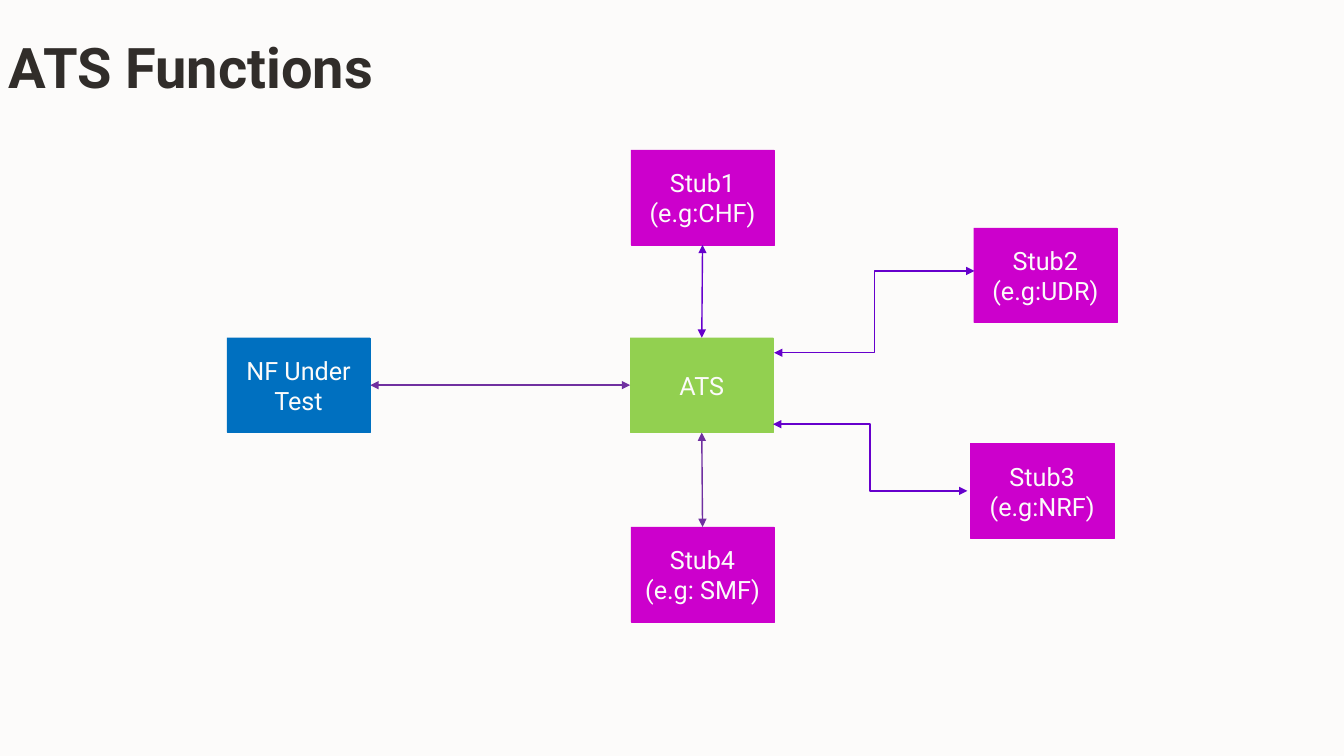
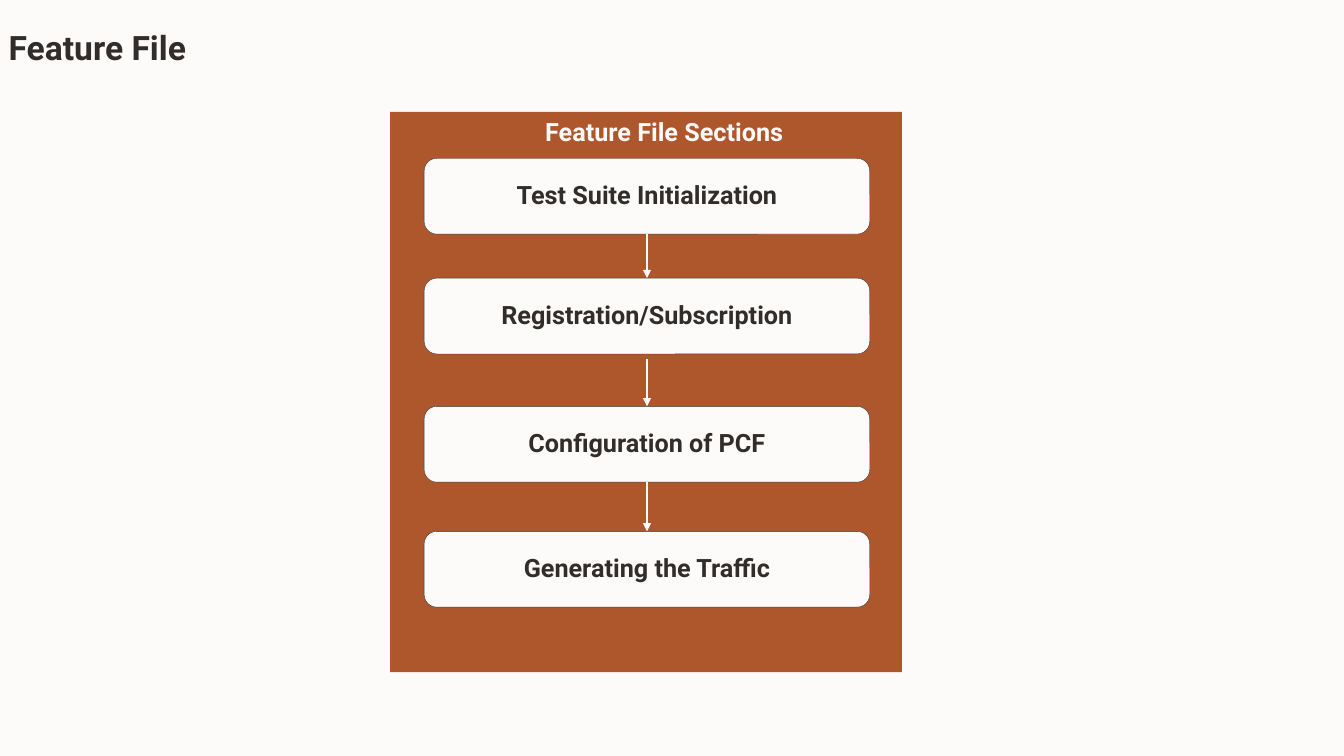
"""Build two slides: the ATS functions diagram and the feature file flow."""
from lxml import etree
from pptx import Presentation
from pptx.dml.color import RGBColor
from pptx.enum import shapes, text
from pptx.oxml import ns
from pptx.util import Cm, Pt

FONT = "Roboto"
HEX = {"paper": "FCFBFA", "ink": "312D2A", "blue": "0070C0", "green": "92D050",
       "pink": "CC00CC", "violet": "6600CC", "purple": "7030A0", "rust": "AE562C"}
KIND, LINK = shapes.MSO_SHAPE, shapes.MSO_CONNECTOR
MID, TOP = text.MSO_ANCHOR.MIDDLE, text.MSO_ANCHOR.TOP
LEFT, CENTER = text.PP_ALIGN.LEFT, text.PP_ALIGN.CENTER
BOTH, TAIL = ("headEnd", "tailEnd"), ("tailEnd",)

NODE = (3.61, 2.39)
NODES = {
    "nf": ("NF Under Test", "blue", 5.72, 8.51),
    "ats": ("ATS", "green", 15.88, 8.51),
    "chf": ("Stub1 (e.g:CHF)", "pink", 15.9, 3.78),
    "smf": ("Stub4\v(e.g: SMF)", "pink", 15.9, 13.28),
    "udr": ("Stub2 (e.g:UDR)", "pink", 24.54, 5.74),
    "nrf": ("Stub3 (e.g:NRF)", "pink", 24.46, 11.18),
}
LINKS = [("chf", 2, "ats", 0, "violet", 1),
         ("ats", 2, "smf", 0, "purple", 1),
         ("nf", 3, "ats", 1, "purple", 1.5)]
BENDS = [(19.48, 10.69, 24.38, 12.37), (19.51, 8.89, 24.56, 6.83)]

PANEL = (9.83, 2.82, 12.9, 14.12)
HEAD = ("Feature File Sections", (13.74, 3.02, 6.6, 0.66))
STEP = (10.69, 11.23, 1.91)
STEPS = [("Test Suite Initialization", 3.99), ("Registration/Subscription", 7.01),
         ("Configuration of PCF", 10.24), ("Generating the Traffic", 13.39)]
GAPS = [0, 0.13, 0]


def tint(name):
    return RGBColor.from_string(HEX[name])


def write(shape, words, size, color, bold=False, align=CENTER, anchor=MID,
          space=None, pad=None):
    frame = shape.text_frame
    frame.word_wrap = True
    frame.vertical_anchor = anchor
    if pad is not None:
        frame.margin_left = frame.margin_right = Cm(pad)
        frame.margin_top = frame.margin_bottom = Cm(pad / 2)
    frame.text = words
    para = frame.paragraphs[0]
    para.alignment = align
    if space:
        para.line_spacing = space
    for run in para.runs:
        font = run.font
        font.name, font.size, font.bold = FONT, Pt(size), bold
        font.color.rgb = tint(color)


def block(slide, kind, area, fill, edge=None):
    shape = slide.shapes.add_shape(kind, *map(Cm, area))
    shape.shadow.inherit = False
    shape.fill.solid()
    shape.fill.fore_color.rgb = tint(fill)
    if edge:
        shape.line.color.rgb = tint(edge)
        shape.line.width = Pt(0.25)
    else:
        shape.line.fill.background()
    return shape


def arrow(slide, kind, ends, color, width, tips):
    line = slide.shapes.add_connector(kind, *map(Cm, ends))
    line.line.color.rgb = tint(color)
    line.line.width = Pt(width)
    edge = line.line._get_or_add_ln()
    for tip in tips:
        etree.SubElement(edge, ns.qn("a:" + tip), type="triangle")
    etree.SubElement(line._element.spPr, ns.qn("a:effectLst"))
    return line


def label(slide, words, area, *style, **more):
    box = slide.shapes.add_textbox(*map(Cm, area))
    write(box, words, *style, bold=True, align=LEFT, anchor=TOP, **more)


def start(deck, title, area, size):
    slide = deck.slides.add_slide(deck.slide_layouts[6])
    slide.background.fill.solid()
    slide.background.fill.fore_color.rgb = tint("paper")
    label(slide, title, area, size, "ink", space=0.95, pad=0.22)
    return slide


def draw_ats(deck):
    slide = start(deck, "ATS Functions", (0, 0.84, 30.91, 1.73), 40)
    nodes = {}
    for key, (words, color, left, top) in NODES.items():
        nodes[key] = block(slide, KIND.RECTANGLE, (left, top, *NODE), color, color)
        write(nodes[key], words, 18, "paper")
    for first, out, last, into, color, width in LINKS:
        line = arrow(slide, LINK.STRAIGHT, (0, 0, 0, 0), color, width, BOTH)
        line.begin_connect(nodes[first], out)
        line.end_connect(nodes[last], into)
    for ends in BENDS:
        arrow(slide, LINK.ELBOW, ends, "violet", 1, BOTH)


def draw_flow(deck):
    slide = start(deck, "Feature File", (0, 0.64, 8.79, 1.7), 24)
    block(slide, KIND.RECTANGLE, PANEL, "rust")
    left, wide, high = STEP
    steps = []
    for words, top in STEPS:
        step = block(slide, KIND.ROUNDED_RECTANGLE, (left, top, wide, high), "paper", "ink")
        write(step, words, 18, "ink", bold=True, space=0.9)
        steps.append(step)
    mid = left + wide / 2
    for i, gap in enumerate(GAPS):
        ends = (mid, STEPS[i][1] + high + gap, mid, STEPS[i + 1][1])
        line = arrow(slide, LINK.STRAIGHT, ends, "paper", 1.5, TAIL)
        if not gap:
            line.begin_connect(steps[i], 2)
        line.end_connect(steps[i + 1], 0)
    label(slide, *HEAD, 18, "paper", space=0.9, pad=0)


def main():
    deck = Presentation()
    deck.slide_width, deck.slide_height = Cm(33.87), Cm(19.05)
    draw_ats(deck)
    draw_flow(deck)
    deck.save("out.pptx")


if __name__ == "__main__":
    main()
